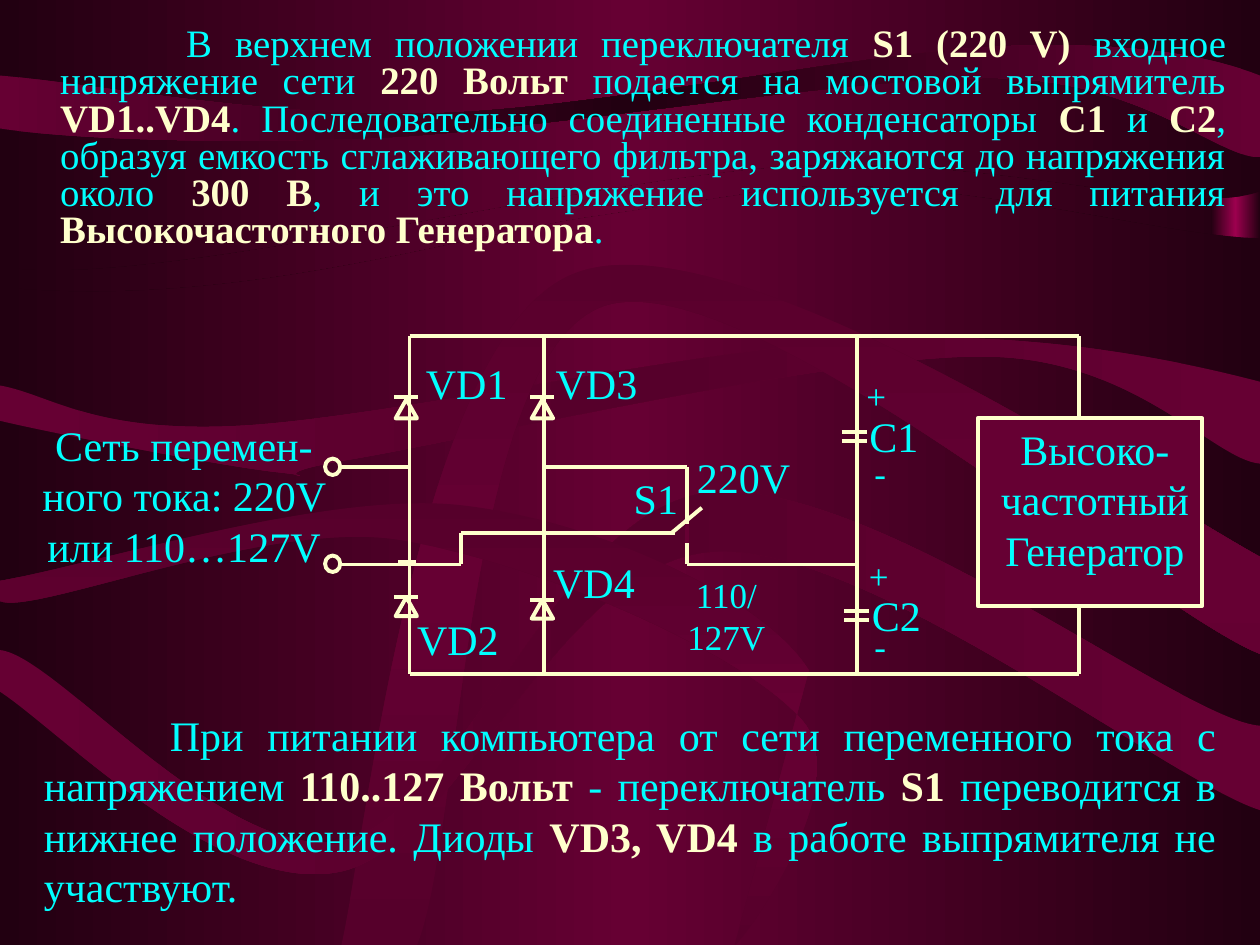
"""Slide on the input voltage switch and bridge rectifier of a power supply."""
from copy import deepcopy

from lxml import etree
from pptx import Presentation
from pptx.dml.color import RGBColor
from pptx.enum.shapes import MSO_CONNECTOR, MSO_SHAPE
from pptx.enum.text import MSO_ANCHOR, PP_ALIGN
from pptx.oxml.ns import qn
from pptx.util import Inches, Pt

STRAIGHT = MSO_CONNECTOR.STRAIGHT
RECT, OVAL, TRIANGLE = MSO_SHAPE.RECTANGLE, MSO_SHAPE.OVAL, MSO_SHAPE.ISOSCELES_TRIANGLE
TOP = MSO_ANCHOR.TOP
LEFT, CENTER, JUSTIFY = PP_ALIGN.LEFT, PP_ALIGN.CENTER, PP_ALIGN.JUSTIFY
DARK, WINE, PLUM, ROSE = (RGBColor.from_string(c) for c in ("220011", "660033", "56002B", "9C004E"))
CYAN, CREAM = RGBColor(0x00, 0xFF, 0xFF), RGBColor(0xFF, 0xFF, 0xCC)
FONT = "Times New Roman"
W, H = 10, 7.5

RIBBONS = [
    (DARK, WINE, 180, [(0, 0), (W, 0), (W, 1.52), (9.38, 1.74, 7.92, 1.22, 6.25, 1.32),
                       (4.58, 1.42, 1.04, 2.33, 0, 2.11)]),
    (DARK, WINE, 180, [(0, 2.28), (1.78, 2.45, 3.4, 1.94, 4.58, 1.74), (5.86, 1.55),
                       (7.15, 1.27, 9.17, 1.89, W, 1.89), (W, H), (0, H)]),
    (WINE, DARK, 180, [(0, 0.6), (0, 1.02), (0.51, 1.1, 1.76, 1.15, 3.08, 1.09),
                       (4.4, 1.02, 6.79, 0.6, 7.94, 0.62), (9.09, 0.65, 9.66, 1.25, W, 1.25),
                       (W, 0.6), (9.65, 0.46, 9.01, 0.32, 7.92, 0.37),
                       (6.82, 0.42, 4.77, 0.86, 3.45, 0.9), (2.13, 0.94, 0.72, 0.66, 0, 0.6)]),
    (WINE, PLUM, 180, [(0, 3.06), (0, 3.34), (0.37, 3.43, 1.75, 3.7, 2.22, 3.75),
                       (2.69, 3.8, 1.9, 3.79, 2.82, 3.64), (3.75, 3.48, 6.6, 2.82, 7.8, 2.83),
                       (9, 2.83, 9.63, 3.65, W, 3.68), (W, 3.03),
                       (9.5, 2.9, 8.36, 2.63, 7.01, 2.69), (5.66, 2.74, 3.07, 3.32, 1.9, 3.38),
                       (0.73, 3.44, 0.4, 3.13, 0, 3.06)]),
    (PLUM, WINE, 90, [(2.71, H), (2.91, 6.61, 3.32, 2.69, 4.54, 2.18),
                      (5.75, 1.66, 9.09, 3.92, W, 4.42), (W, 5.19),
                      (9.13, 4.85, 5.91, 2.05, 4.79, 2.43), (3.68, 2.82, 3.66, 6.66, 3.31, H)]),
    (WINE, PLUM, 180, [(0, 5.16), (0, 5.49), (0.45, 5.78, 1.74, 7.11, 2.69, 6.92),
                       (3.63, 6.74, 4.43, 4.46, 5.65, 4.38), (6.87, 4.29, 9.27, 6.2, W, 6.43),
                       (W, 5.76), (9.38, 5.72, 6.91, 3.77, 5.62, 3.91),
                       (4.41, 4.06, 3.67, 6.46, 2.73, 6.67), (1.79, 6.87, 0.45, 5.2, 0, 5.16)]),
    (PLUM, WINE, 90, [(0, 4.61), (0, 4.77), (0.26, 4.89, 2.08, 4.13, 3.14, 4.28),
                      (4.2, 4.44, 5.92, 5.18, 6.37, 5.72), (6.82, 6.25, 5.82, 7.57, 5.83, H),
                      (6.42, 5.32), (6.06, 4.74, 4.73, 4.13, 3.66, 4.01),
                      (2.59, 3.89, 0.76, 4.48, 0, 4.61)]),
]

UPPER_TEXT = ["В верхнем положении переключателя ", "S1 (220 V)", " входное напряжение сети ",
              "220 Вольт", " подается на мостовой выпрямитель ", "VD1..VD4",
              ". Последовательно соединенные конденсаторы", " С1", " и ", "С2",
              ", образуя емкость сглаживающего фильтра, заряжаются до напряжения около ",
              "300 В", ", и это напряжение используется для питания ",
              "Высокочастотного Генератора", "."]
LOWER_TEXT = ["При питании компьютера от сети переменного тока с напряжением ", "110..127 Вольт",
              " - переключатель ", "S1", " переводится в нижнее положение. Диоды ", "VD3, VD4",
              " в работе выпрямителя не участвуют."]

LABELS = [
    (0.25, 3.33, 2.42, 1.59, 24, CENTER, ["Сеть перемен-ного тока: 220V или 110…127V"]),
    (5.4, 4.55, 0.73, 0.71, 20, CENTER, ["110/", "127V"]),
    (5.53, 3.58, 0.75, 0.45, 24, LEFT, ["220V"]),
    (5.03, 3.75, 0.46, 0.45, 24, LEFT, ["S1"]),
    (6.9, 3.26, 0.45, 0.45, 24, LEFT, ["С1"]),
    (6.92, 4.68, 0.45, 0.45, 24, LEFT, ["С2"]),
]
LABELS += [(x, y, 0.68, 0.45, 24, LEFT, [name]) for x, y, name in
           [(3.38, 2.84, "VD1"), (3.31, 4.87, "VD2"), (4.41, 2.84, "VD3"), (4.39, 4.42, "VD4")]]
LABELS += [(x, y, 0.17, 0.26, 20, CENTER, [sign]) for x, y, sign in
           [(6.87, 2.97, "+"), (6.9, 3.58, "-"), (6.89, 4.4, "+"), (6.9, 4.96, "-")]]

RAIL_TOP, RAIL_BOTTOM = 2.67, 5.35
BRIDGE_1, BRIDGE_2, SWITCH_X, CAP_X, LOAD_X = 3.25, 4.32, 5.45, 6.8, 8.56
LINE_1, SWITCH_Y, LINE_2 = 3.71, 4.23, 4.48
TERMINAL_X, STEP_X, TERMINAL_D = 2.7, 3.66, 0.12
WIRES = [(x, RAIL_TOP, x, RAIL_BOTTOM) for x in (BRIDGE_1, BRIDGE_2, CAP_X, LOAD_X)]
WIRES += [(BRIDGE_1, y, LOAD_X, y) for y in (RAIL_TOP, RAIL_BOTTOM)]
WIRES += [
    (TERMINAL_X, LINE_1, BRIDGE_1, LINE_1), (BRIDGE_2, LINE_1, SWITCH_X, LINE_1),
    (TERMINAL_X, LINE_2, STEP_X, LINE_2), (SWITCH_X, LINE_2, CAP_X, LINE_2),
    (STEP_X, SWITCH_Y, STEP_X, LINE_2), (STEP_X, SWITCH_Y, 5.36, SWITCH_Y),
    (SWITCH_X, LINE_1, SWITCH_X, LINE_2), (5.33, SWITCH_Y, 5.57, 4.03),
    (3.16, 4.46, 3.3, 4.46), (4.25, SWITCH_Y, 4.39, SWITCH_Y),
]
DIODES = [(3.13, 3.15, 0.02), (3.13, 4.74, 0), (4.21, 3.15, 0.02), (4.21, 4.76, 0)]
CAPACITORS = [(6.68, 3.43), (6.7, 4.85)]


def paint_gradient(fill, root, edge, middle, angle):
    fill.gradient()
    fill.gradient_angle = angle
    gs_list = root.xpath(".//a:gsLst")[0]
    gs_list.append(deepcopy(gs_list[-1]))
    for stop, color, position in zip(fill.gradient_stops, (edge, middle, edge), (0, 0.5, 1)):
        stop.color.rgb = color
        stop.position = position


def bend_curves(sp, segments):
    nodes = iter(sp._element.xpath(".//a:lnTo"))
    for seg in segments:
        node = next(nodes)
        if len(seg) == 6:
            curve = etree.Element(qn("a:cubicBezTo"))
            node.addprevious(curve)
            for line in (node, next(nodes), next(nodes)):
                curve.append(line[0])
                line.getparent().remove(line)


def add_ribbon(s, edge, middle, angle, segments):
    points = [(Inches(seg[i]), Inches(seg[i + 1])) for seg in segments for i in range(0, len(seg), 2)]
    builder = s.shapes.build_freeform(*points[0], scale=1.0)
    builder.add_line_segments(points[1:], close=True)
    sp = builder.convert_to_shape()
    bend_curves(sp, segments[1:])
    sp.shadow.inherit = False
    sp.line.fill.background()
    paint_gradient(sp.fill, sp._element, edge, middle, angle)


def add_part(s, kind, x, y, w, h):
    sp = s.shapes.add_shape(kind, Inches(x), Inches(y), Inches(w), Inches(h))
    sp.shadow.inherit = False
    sp.fill.background()
    sp.line.color.rgb = CREAM
    sp.line.width = Pt(2.25)
    return sp


def add_wire(s, x1, y1, x2, y2, color=CREAM):
    cn = s.shapes.add_connector(STRAIGHT, Inches(x1), Inches(y1), Inches(x2), Inches(y2))
    cn.line.color.rgb = color
    cn.line.width = Pt(2.25)
    etree.SubElement(cn._element.spPr, qn("a:effectLst"))


def write(sp, paragraphs, size, align, insets):
    tf = sp.text_frame
    tf.word_wrap = True
    tf.vertical_anchor = TOP
    tf.margin_left, tf.margin_top, tf.margin_right, tf.margin_bottom = map(Inches, insets)
    for i, runs in enumerate(paragraphs):
        p = tf.add_paragraph() if i else tf.paragraphs[0]
        p.alignment = align
        for j, text in enumerate(runs):
            r = p.add_run()
            r.text = text
            r.font.name, r.font.size = FONT, Pt(size)
            r.font.bold = j % 2 == 1
            r.font.color.rgb = CREAM if j % 2 else CYAN
    return tf.paragraphs[0]


def add_text(s, x, y, w, h, paragraphs, size, align, insets=(0, 0, 0, 0)):
    tb = s.shapes.add_textbox(Inches(x), Inches(y), Inches(w), Inches(h))
    return write(tb, paragraphs, size, align, insets)


def add_body(s, x, y, w, h, runs, size, margin, spacing):
    p = add_text(s, x, y, w, h, [runs], size, JUSTIFY, (0.1, 0.05, 0.1, 0.05))
    p.line_spacing = spacing
    pPr = p._p.get_or_add_pPr()
    pPr.set("marL", str(Inches(margin)))
    pPr.set("indent", str(Inches(1)))


def main():
    prs = Presentation()
    prs.slide_width, prs.slide_height = Inches(W), Inches(H)
    s = prs.slides.add_slide(prs.slide_layouts[6])
    paint_gradient(s.background.fill, s._element, DARK, WINE, 180)
    band = add_part(s, RECT, 9.61, 0.49, 0.39, 3.45)
    band.line.fill.background()
    paint_gradient(band.fill, band._element, DARK, ROSE, 180)
    for ribbon in RIBBONS:
        add_ribbon(s, *ribbon)

    add_body(s, 0, 0.17, 9.83, 2.5, UPPER_TEXT, 22.2, 0.38, 0.8)
    add_body(s, 0.25, 5.58, 9.5, 1.7, LOWER_TEXT, 24, 0, 1.0)

    for wire in WIRES:
        add_wire(s, *wire)
    for x, y, drop in DIODES:
        add_wire(s, x, y, x + 0.19, y)
        add_part(s, TRIANGLE, x + 0.01, y + drop, 0.17, 0.15)
    for x, y in CAPACITORS:
        for plate_y in (y, y + 0.07):
            add_wire(s, x, plate_y, x + 0.2, plate_y)
    for y in (LINE_1, LINE_2):
        add_part(s, OVAL, TERMINAL_X - TERMINAL_D, y - 0.07, TERMINAL_D, 0.13)
    add_wire(s, SWITCH_X, 4.16, SWITCH_X, 4.31, WINE)

    load = add_part(s, RECT, 7.76, 3.32, 1.78, 1.49)
    load.fill.solid()
    load.fill.fore_color.rgb = WINE
    write(load, [["Высоко-частотный Генератор"]], 24, CENTER, (0.08, 0.04, 0, 0.04))
    for x, y, w, h, size, align, lines in LABELS:
        add_text(s, x, y, w, h, [[line] for line in lines], size, align)
    prs.save("out.pptx")


if __name__ == "__main__":
    main()
